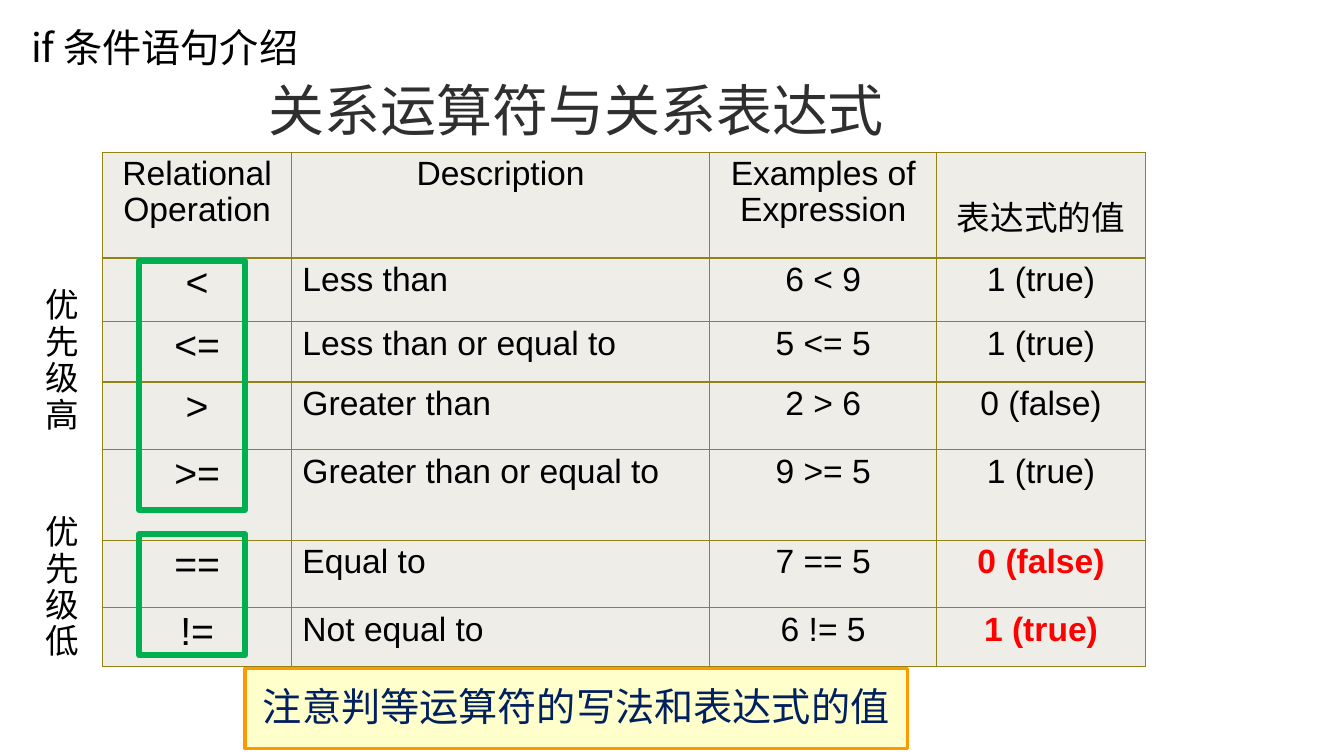
"""Build the slide on relational operators and relational expressions."""
from dataclasses import dataclass

from lxml import etree
from pptx import Presentation
from pptx import util as u
from pptx.dml import color
from pptx.enum import shapes, text
from pptx.oxml import ns


@dataclass(frozen=True)
class Theme:
    """Fonts, colours and type sizes of the slide."""
    latin: str = "Arial"
    cjk: str = "Noto Sans CJK SC"
    ink: str = "000000"
    title_ink: str = "2F2F2F"
    note_ink: str = "002060"
    alert: str = "FF0000"
    cell: str = "EEEDE8"
    border: str = "918415"
    frame: str = "00B050"
    note_fill: str = "FFFFCC"
    note_line: str = "FF9900"
    title: int = 40
    large: int = 28
    body: int = 24


THEME = Theme()
HEADERS = ["Relational Operation", "Description", "Examples of Expression", "表达式的值"]
OPERATIONS = [
    ["<", "Less than", "6 < 9", "1 (true)"],
    ["<=", "Less than or equal to", "5 <= 5", "1 (true)"],
    [">", "Greater than", "2 > 6", "0 (false)"],
    [">=", "Greater than or equal to", "9 >= 5", "1 (true)"],
    ["==", "Equal to", "7 == 5", "0 (false)"],
    ["!=", "Not equal to", "6 != 5", "1 (true)"],
]
COLUMN_WIDTHS = [1.87, 4.15, 2.25, 2.07]
ROW_HEIGHTS = [1.05, 0.63, 0.6, 0.67, 0.9, 0.67, 0.58]


def rgb(value):
    """Turn a hex string into a colour."""
    return color.RGBColor.from_string(value)


def write(tf, content, size, ink, font, align=text.PP_ALIGN.LEFT, spacing=1.0, bold=False):
    """Set one paragraph of text and format it."""
    tf.text = content
    p = tf.paragraphs[0]
    p.alignment = align
    p.line_spacing = spacing
    r = p.runs[0]
    r.font.size = u.Pt(size)
    r.font.name = font
    r.font.bold = bold
    r.font.color.rgb = rgb(ink)
    if font == THEME.cjk:
        ea = etree.SubElement(r._r.get_or_add_rPr(), ns.qn("a:ea"))
        ea.set("typeface", font)


def add_text(s, box, content, size, ink, font, **style):
    """Add a wrapping text box and return its text frame."""
    tf = s.shapes.add_textbox(*map(u.Inches, box)).text_frame
    tf.word_wrap = True
    write(tf, content, size, ink, font, **style)
    return tf


def add_label(s, box, content, size, spacing=1.0):
    """Add a black label that grows with its text."""
    tf = add_text(s, box, content, size, THEME.ink, THEME.cjk, spacing=spacing)
    tf.auto_size = text.MSO_AUTO_SIZE.SHAPE_TO_FIT_TEXT


def add_box(s, box, line, width, fill=None):
    """Add an outlined rectangle, filled when a colour is given."""
    sp = s.shapes.add_shape(shapes.MSO_SHAPE.RECTANGLE, *map(u.Inches, box))
    sp.shadow.inherit = False
    sp.line.color.rgb = rgb(line)
    sp.line.width = u.Pt(width)
    if fill:
        sp.fill.solid()
        sp.fill.fore_color.rgb = rgb(fill)
    else:
        sp.fill.background()
    return sp


def add_note(s, box, content):
    """Add the highlighted note."""
    tf = add_box(s, box, THEME.note_line, 2.25, THEME.note_fill).text_frame
    tf.word_wrap = False
    tf.vertical_anchor = text.MSO_ANCHOR.MIDDLE
    write(tf, content, THEME.large, THEME.note_ink, THEME.cjk,
          align=text.PP_ALIGN.CENTER, spacing=0.9)
    p = tf.paragraphs[0]
    p.space_before = p.space_after = u.Pt(5.9)


def set_borders(cell):
    """Draw a thin line on all four sides of a cell."""
    tc_pr = cell._tc.get_or_add_tcPr()
    for i, side in enumerate(("a:lnL", "a:lnR", "a:lnT", "a:lnB")):
        ln = etree.Element(ns.qn(side), w=str(u.Pt(1)))
        fill = etree.SubElement(ln, ns.qn("a:solidFill"))
        etree.SubElement(fill, ns.qn("a:srgbClr"), val=THEME.border)
        tc_pr.insert(i, ln)


def fill_cell(cell, content, row, col):
    """Write and style one table cell."""
    is_operator = row > 0 and col == 0
    is_description = row > 0 and col == 1
    is_alert = row > 4 and col == 3
    write(cell.text_frame, content,
          THEME.large if is_operator else THEME.body,
          THEME.alert if is_alert else THEME.ink, THEME.latin,
          align=text.PP_ALIGN.LEFT if is_description else text.PP_ALIGN.CENTER,
          spacing=0.95, bold=is_alert)
    cell.margin_left = cell.margin_right = u.Inches(0.11)
    cell.margin_top = u.Inches(0.41 if (row, col) == (0, 3) else 0.05)
    cell.margin_bottom = u.Inches(0.05)
    cell.fill.solid()
    cell.fill.fore_color.rgb = rgb(THEME.cell)
    set_borders(cell)


def add_operator_table(s, left, top):
    """Add the table of relational operators."""
    rows = [HEADERS, *OPERATIONS]
    size = sum(COLUMN_WIDTHS), sum(ROW_HEIGHTS)
    table = s.shapes.add_table(len(rows), len(HEADERS),
                               *map(u.Inches, (left, top, *size))).table
    table.first_row = table.horz_banding = False
    for column, width in zip(table.columns, COLUMN_WIDTHS):
        column.width = u.Inches(width)
    for row, height in zip(table.rows, ROW_HEIGHTS):
        row.height = u.Inches(height)
    for i, values in enumerate(rows):
        for j, value in enumerate(values):
            fill_cell(table.cell(i, j), value, i, j)


def main():
    """Build and save the slide."""
    prs = Presentation()
    prs.slide_width, prs.slide_height = u.Inches(13.33), u.Inches(7.5)
    s = prs.slides.add_slide(prs.slide_layouts[6])
    title = add_text(s, (0.81, 0.62, 9.81, 0.92), "关系运算符与关系表达式", THEME.title,
                     THEME.title_ink, THEME.latin, align=text.PP_ALIGN.CENTER)
    title.vertical_anchor = text.MSO_ANCHOR.MIDDLE
    add_operator_table(s, 1.02, 1.51)
    for top, height in ((2.59, 2.47), (5.3, 1.2)):
        add_box(s, (1.38, top, 1.05, height), THEME.frame, 4.5)
    add_note(s, (2.43, 6.63, 6.57, 0.8), "注意判等运算符的写法和表达式的值")
    for top, content in ((2.81, "优先级高"), (5.06, "优先级低")):
        add_label(s, (0.35, top, 0.42, 1.56), content, THEME.body, spacing=u.Pt(26))
    add_label(s, (0.21, 0.18, 4.43, 0.57), "if 条件语句介绍", THEME.large)
    prs.save("out.pptx")


if __name__ == "__main__":
    main()
